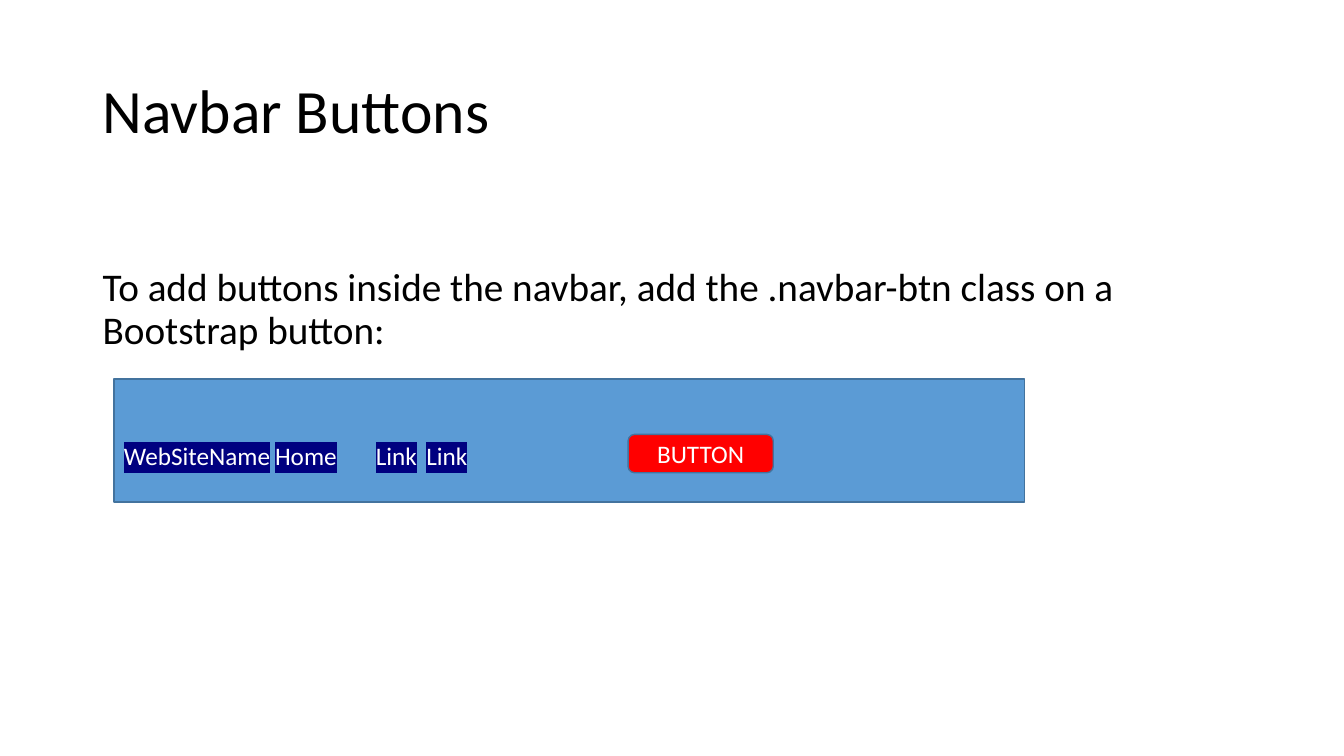
from dataclasses import dataclass

from lxml import etree
from pptx import Presentation
from pptx.dml.color import RGBColor
from pptx.enum.shapes import MSO_SHAPE
from pptx.enum.text import MSO_ANCHOR, PP_ALIGN
from pptx.oxml.ns import qn
from pptx.shapes.autoshape import Shape
from pptx.slide import Slide
from pptx.util import Inches, Pt

RECTANGLE = MSO_SHAPE.RECTANGLE
ROUNDED = MSO_SHAPE.ROUNDED_RECTANGLE
TOP, MIDDLE = MSO_ANCHOR.TOP, MSO_ANCHOR.MIDDLE
LEFT, CENTER = PP_ALIGN.LEFT, PP_ALIGN.CENTER

BLACK = RGBColor(0x00, 0x00, 0x00)
WHITE = RGBColor(0xFF, 0xFF, 0xFF)
BLUE = RGBColor(0x5B, 0x9B, 0xD5)
OUTLINE = RGBColor(0x43, 0x73, 0x9E)
RED = RGBColor(0xFF, 0x00, 0x00)
NAVY = RGBColor(0x00, 0x00, 0x80)

FONT = "Calibri"
NAV_ITEMS = ("WebSiteName", "Home", "Link", "Link")


@dataclass(frozen=True)
class Area:
    left: float
    top: float
    width: float
    height: float

    def lengths(self) -> tuple[int, ...]:
        return tuple(map(Inches, (self.left, self.top, self.width, self.height)))


@dataclass(frozen=True)
class Span:
    text: str
    highlight: RGBColor | None = None


@dataclass(frozen=True)
class Panel:
    kind: MSO_SHAPE
    area: Area
    fill: RGBColor
    spans: list[Span]
    align: PP_ALIGN = LEFT
    top_inset: float = 0.05


@dataclass(frozen=True)
class Heading:
    area: Area
    text: str
    size: int
    anchor: MSO_ANCHOR
    top_inset: float = 0.05


def write_text(box: Shape, spans: list[Span], *, size: int, color: RGBColor,
               align: PP_ALIGN = LEFT, anchor: MSO_ANCHOR = MIDDLE,
               spacing: float = 1.0, top_inset: float = 0.05) -> None:
    frame = box.text_frame
    frame.word_wrap = True
    frame.vertical_anchor = anchor
    frame.margin_top = Inches(top_inset)
    para = frame.paragraphs[0]
    para.alignment = align
    para.line_spacing = spacing
    for span in spans:
        run = para.add_run()
        run.text = span.text
        run.font.size = Pt(size)
        run.font.name = FONT
        run.font.color.rgb = color
        if span.highlight is not None:
            highlight = etree.Element(qn("a:highlight"))
            etree.SubElement(highlight, qn("a:srgbClr"), val=str(span.highlight))
            run.font._element.find(qn("a:solidFill")).addnext(highlight)


def add_heading(slide: Slide, heading: Heading) -> None:
    box = slide.shapes.add_textbox(*heading.area.lengths())
    write_text(box, [Span(heading.text)], size=heading.size, color=BLACK,
               anchor=heading.anchor, spacing=0.9, top_inset=heading.top_inset)


def add_panel(slide: Slide, panel: Panel) -> None:
    box = slide.shapes.add_shape(panel.kind, *panel.area.lengths())
    box.shadow.inherit = False
    box.fill.solid()
    box.fill.fore_color.rgb = panel.fill
    box.line.color.rgb = OUTLINE
    box.line.width = Pt(1)
    write_text(box, panel.spans, size=18, color=WHITE, align=panel.align,
               top_inset=panel.top_inset)


def nav_spans() -> list[Span]:
    """Highlighted items with a plain tab between neighbours."""
    spans = []
    for item in NAV_ITEMS:
        if spans:
            spans.append(Span("\t"))
        spans.append(Span(item, NAVY))
    return spans


def main() -> None:
    deck = Presentation()
    deck.slide_width, deck.slide_height = Inches(13.33), Inches(7.5)
    page = deck.slides.add_slide(deck.slide_layouts[6])

    headings = (
        Heading(Area(0.92, 0.4, 11.5, 1.45), "Navbar Buttons", 44, MIDDLE),
        Heading(Area(0.92, 2, 11.5, 4.76),
                "To add buttons inside the navbar, add the .navbar-btn class "
                "on a Bootstrap button:", 28, TOP, top_inset=0.66),
    )
    panels = (
        Panel(RECTANGLE, Area(1.13, 3.76, 9.03, 1.22), BLUE, nav_spans(),
              top_inset=0.35),
        Panel(ROUNDED, Area(6.23, 4.31, 1.44, 0.38), RED, [Span("BUTTON")], CENTER),
    )
    for heading in headings:
        add_heading(page, heading)
    for panel in panels:
        add_panel(page, panel)
    deck.save("out.pptx")


if __name__ == "__main__":
    main()
